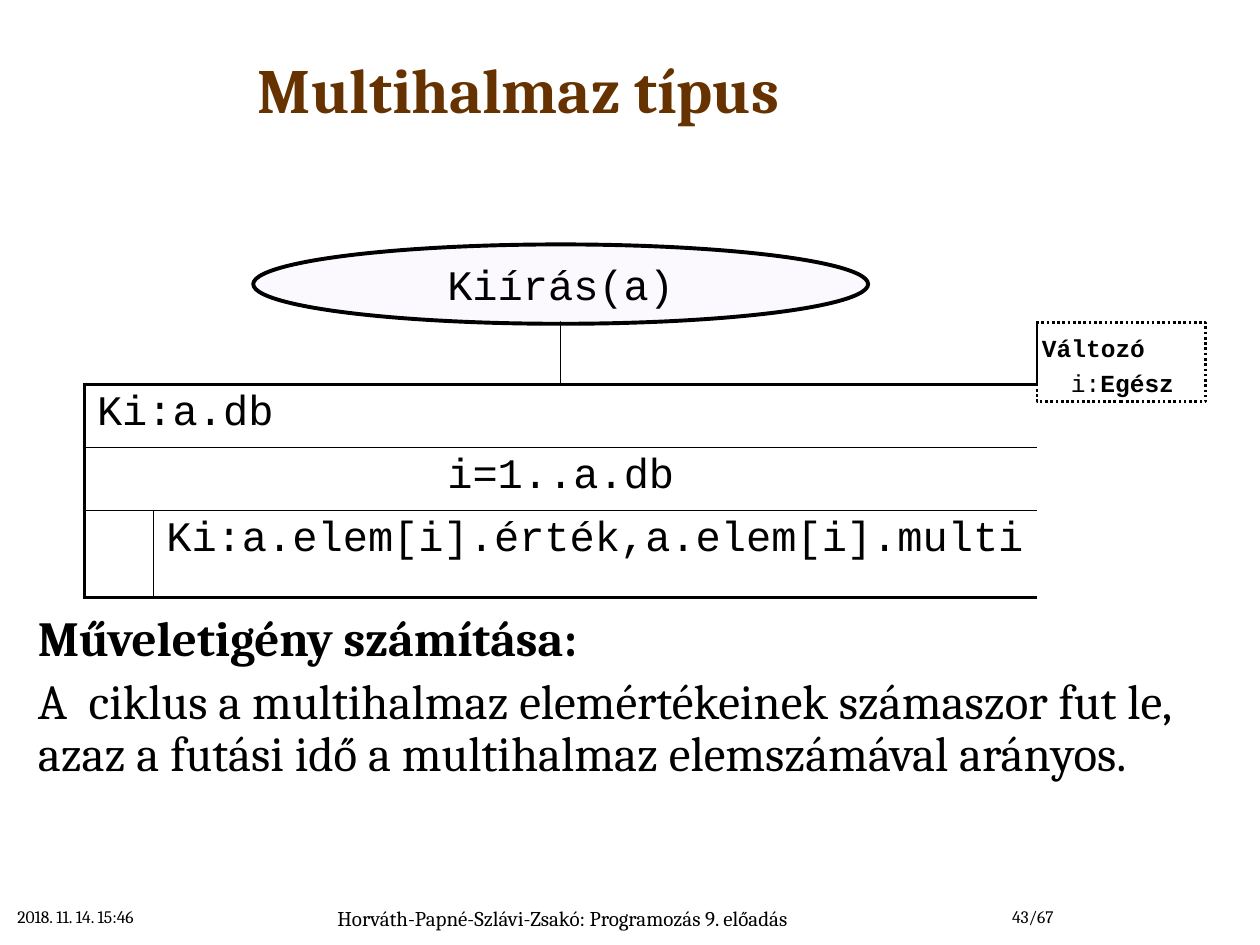
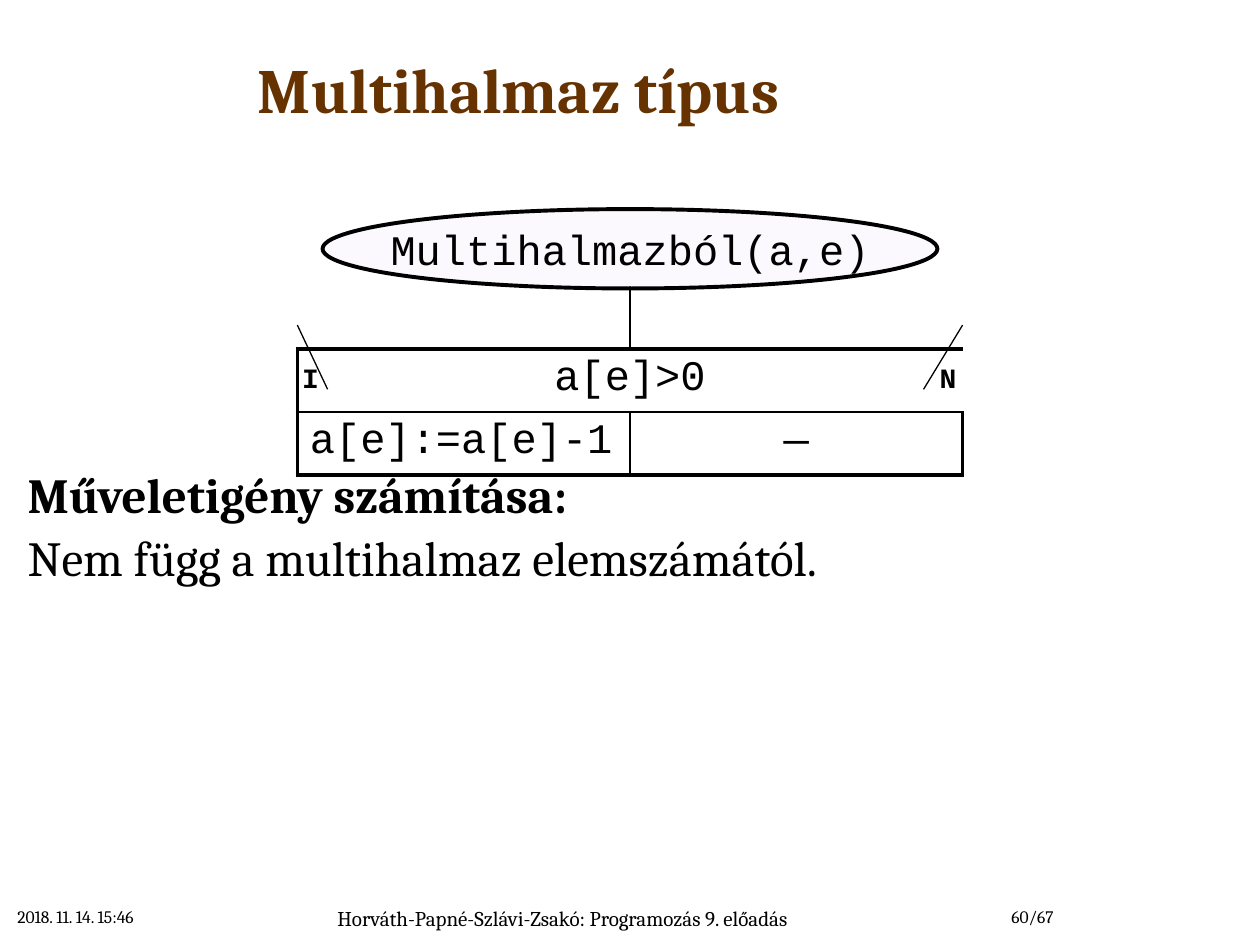
from dataclasses import dataclass
from typing import NamedTuple

from lxml.etree import SubElement
from pptx import Presentation
from pptx.dml.color import RGBColor
from pptx.enum.dml import MSO_LINE
from pptx.enum.shapes import MSO_CONNECTOR, MSO_SHAPE
from pptx.enum.text import MSO_ANCHOR, MSO_AUTO_SIZE, PP_ALIGN
from pptx.oxml.ns import qn
from pptx.util import Emu, Inches, Pt


@dataclass(frozen=True)
class Theme:
    serif: str = "Cambria"
    code: str = "Courier New"
    ink: RGBColor = RGBColor(0, 0, 0)
    title_ink: RGBColor = RGBColor(0x66, 0x33, 0x00)
    bubble: RGBColor = RGBColor(0xF3, 0xE8, 0xFE)
    bubble_opacity: int = 30
    title_size: int = 36
    body_size: int = 28
    code_size: int = 24
    label_size: int = 16
    variable_size: int = 14
    footer_size: int = 12
    date_size: int = 10
    thick: float = 2.25
    thin: float = 1
    hairline: float = 0.75
    no_table_style: str = "{2D5ABB26-0587-4C30-8999-92F81FD0307C}"


class Box(NamedTuple):
    """A rectangle on the slide grid of 100 columns by 75 rows."""
    left: float
    top: float
    width: float
    height: float


class Cell(NamedTuple):
    """Cells first..last of a row; edges: capital is thick, small is thin."""
    row: int
    first: int
    last: int
    edges: str
    text: str = ""
    align: PP_ALIGN = PP_ALIGN.LEFT


class Chart(NamedTuple):
    """A structogram: name bubble, stem above the block, and its cells."""
    name: str
    left: float
    top: float
    columns: list[float]
    rows: list[float]
    stem_column: int
    cells: list[Cell]


THEME = Theme()
GRID_COLUMNS = 100
BUBBLE_WIDTH, BUBBLE_HEIGHT, BUBBLE_OVERLAP = 48.8, 6.3, 0.2
LEFT, CENTER, RIGHT = PP_ALIGN.LEFT, PP_ALIGN.CENTER, PP_ALIGN.RIGHT

presentation = Presentation()
presentation.slide_width = Inches(10)
presentation.slide_height = Inches(7.5)
UNIT = presentation.slide_width / GRID_COLUMNS


def grid(*steps: float) -> list[Emu]:
    return [Emu(round(step * UNIT)) for step in steps]


def place(shape, box: Box) -> None:
    shape.left, shape.top, shape.width, shape.height = grid(*box)


def write(paragraph, text: str, size: float, name: str = THEME.serif,
          bold: bool = False, align: PP_ALIGN = LEFT, color: RGBColor = THEME.ink,
          before: float = 0) -> None:
    paragraph.text = text
    paragraph.alignment = align
    paragraph.space_before = Pt(before)
    font = paragraph.font
    font.name, font.size, font.bold = name, Pt(size), bold
    font.color.rgb = color


def add_text(slide, box: Box, text: str, size: float, **style) -> None:
    shape = slide.shapes.add_textbox(*grid(*box))
    shape.text_frame.word_wrap = True
    write(shape.text_frame.paragraphs[0], text, size, **style)


def add_line(slide, start: tuple[float, float], end: tuple[float, float]) -> None:
    line = slide.shapes.add_connector(MSO_CONNECTOR.STRAIGHT, *grid(*start, *end))
    line.line.color.rgb = THEME.ink
    line.line.width = Pt(THEME.hairline)
    SubElement(line._element.spPr, qn("a:effectLst"))


# Title, body and footer, the same on every slide
def add_page(number: str, body_top: float, body_text: str):
    slide = presentation.slides.add_slide(presentation.slide_layouts[1])
    title, body = slide.shapes.title, slide.placeholders[1]
    place(title, Box(0, 0.9, 82.3, 12.2))
    title.text_frame.vertical_anchor = MSO_ANCHOR.MIDDLE
    write(title.text_frame.paragraphs[0], "Multihalmaz típus", THEME.title_size,
          bold=True, align=CENTER, color=THEME.title_ink)

    frame = body.text_frame
    frame.auto_size = MSO_AUTO_SIZE.NONE
    heading, statement = frame.paragraphs[0], frame.add_paragraph()
    write(heading, "Műveletigény számítása:", THEME.body_size, bold=True)
    write(statement, body_text, THEME.body_size, before=6)
    statement.line_spacing = Pt(30)
    for paragraph in frame.paragraphs:
        properties = paragraph._p.get_or_add_pPr()
        properties.set("marL", "0")
        properties.set("indent", "0")
        bullet = SubElement(properties, qn("a:buNone"))
        defaults = properties.find(qn("a:defRPr"))
        if defaults is not None:
            defaults.addprevious(bullet)

    add_text(slide, Box(0.4, 71.4, 20.8, 3.6), "2018. 11. 14. 15:46", THEME.date_size)
    add_text(slide, Box(21.2, 71.4, 46.9, 3.6),
             "Horváth-Papné-Szlávi-Zsakó: Programozás 9. előadás",
             THEME.footer_size, align=CENTER)
    add_text(slide, Box(71.9, 71.4, 12.7, 3.6), number, THEME.date_size, align=RIGHT)
    return slide, body


def set_edges(cell, edges: str) -> None:
    properties = cell._tc.get_or_add_tcPr()
    sides = [side for side in "LRTB" if side in edges.upper()]
    for position, side in enumerate(sides):
        width = THEME.thick if side in edges else THEME.thin
        line = SubElement(properties, qn(f"a:ln{side}"), w=str(Pt(width)))
        fill = SubElement(line, qn("a:solidFill"))
        SubElement(fill, qn("a:srgbClr"), val=str(THEME.ink))
        properties.insert(position, line)


def add_block(slide, chart: Chart) -> None:
    area = Box(chart.left, chart.top, sum(chart.columns), sum(chart.rows))
    table = slide.shapes.add_table(len(chart.rows), len(chart.columns),
                                   *grid(*area)).table
    table.first_row = table.horz_banding = False
    table._tbl.tblPr.find(qn("a:tableStyleId")).text = THEME.no_table_style
    for column, width in zip(table.columns, grid(*chart.columns)):
        column.width = width
    for row, height in zip(table.rows, grid(*chart.rows)):
        row.height = height
    for item in chart.cells:
        for index in range(item.first, item.last + 1):
            cell = table.cell(item.row, index)
            cell.fill.background()
            hidden = ("Ll" if index > item.first else "") + ("Rr" if index < item.last else "")
            set_edges(cell, "".join(edge for edge in item.edges if edge not in hidden))
        start = table.cell(item.row, item.first)
        if item.last > item.first:
            start.merge(table.cell(item.row, item.last))
        if item.text:
            write(start.text_frame.paragraphs[0], item.text, THEME.code_size,
                  name=THEME.code, align=item.align, before=1.5)


def add_bubble(slide, chart: Chart) -> None:
    middle = chart.left + sum(chart.columns[:chart.stem_column])
    box = Box(middle - BUBBLE_WIDTH / 2, chart.top + BUBBLE_OVERLAP - BUBBLE_HEIGHT,
              BUBBLE_WIDTH, BUBBLE_HEIGHT)
    bubble = slide.shapes.add_shape(MSO_SHAPE.OVAL, *grid(*box))
    bubble.shadow.inherit = False
    bubble.fill.solid()
    bubble.fill.fore_color.rgb = THEME.bubble
    color = bubble._element.spPr.find(qn("a:solidFill")).find(qn("a:srgbClr"))
    SubElement(color, qn("a:alpha"), val=str(THEME.bubble_opacity * 1000))
    bubble.line.color.rgb = THEME.ink
    bubble.line.width = Pt(THEME.thick)
    frame = bubble.text_frame
    frame.word_wrap = False
    frame.vertical_anchor = MSO_ANCHOR.MIDDLE
    write(frame.paragraphs[0], chart.name, THEME.code_size, name=THEME.code,
          align=CENTER, before=6)


def add_chart_block(slide, chart: Chart) -> None:
    add_block(slide, chart)
    add_bubble(slide, chart)


def add_variables(slide, box: Box, name: str, kind: str) -> None:
    shape = slide.shapes.add_shape(MSO_SHAPE.RECTANGLE, *grid(*box))
    shape.shadow.inherit = False
    shape.fill.background()
    shape.line.color.rgb = THEME.ink
    shape.line.width = Pt(1.5)
    shape.line.dash_style = MSO_LINE.ROUND_DOT
    frame = shape.text_frame
    frame.vertical_anchor = MSO_ANCHOR.TOP
    frame.margin_left = frame.margin_top = frame.margin_bottom = Inches(0.04)
    frame.margin_right = 0
    heading, declaration = frame.paragraphs[0], frame.add_paragraph()
    write(heading, "Változó", THEME.variable_size, name=THEME.code, bold=True, before=2.8)
    write(declaration, f"{name}:", THEME.variable_size, name=THEME.code)
    declaration.add_run().text = kind
    declaration.runs[1].font.bold = True
    declaration._p.get_or_add_pPr().set("marL", str(Inches(0.23)))
    for paragraph in frame.paragraphs:
        paragraph.line_spacing = Pt(20)


# Slide 1: writing out the multiset
printing = Chart(
    name="Kiírás(a)", left=6.7, top=25.5, columns=[5.5, 32.3, 37.8],
    rows=[5, 5, 5, 6.9], stem_column=2,
    cells=[Cell(0, 0, 1, "rB"),
           Cell(0, 2, 2, "lB"),
           Cell(1, 0, 2, "LTRb", "Ki:a.db"),
           Cell(2, 0, 2, "LtR", "i=1..a.db", CENTER),
           Cell(3, 0, 0, "LrB"),
           Cell(3, 1, 2, "ltRB", "Ki:a.elem[i].érték,a.elem[i].multi")])
slide, body = add_page(
    "43/67", 47.7,
    "A  ciklus a multihalmaz elemértékeinek számaszor fut le, "
    "azaz a futási idő a multihalmaz elemszámával arányos.")
place(body, Box(2, 47.7, 98, 16.7))
add_chart_block(slide, printing)
add_variables(slide, Box(82.3, 25.6, 13.4, 6.3), "i", "Egész")

# Slide 2: removing an element
removal = Chart(
    name="Multihalmazból(a,e)", left=23.6, top=22.7, columns=[26.4, 26.4],
    rows=[5, 5, 5], stem_column=1,
    cells=[Cell(0, 0, 0, "rB"),
           Cell(0, 1, 1, "lB"),
           Cell(1, 0, 1, "LTRb", "a[e]>0", CENTER),
           Cell(2, 0, 0, "LtrB", "a[e]:=a[e]-1"),
           Cell(2, 1, 1, "ltRB", "―", CENTER)])
slide, body = add_page("60/67", 36.4, "Nem függ a multihalmaz elemszámától.")
place(body, Box(1.2, 36.4, 98, 11.9))
add_chart_block(slide, removal)

# Branch corners with their yes and no labels
right_edge = removal.left + sum(removal.columns)
for corner, foot, label_left, label in ((removal.left, 26, 23, "I"),
                                        (right_edge, 73.3, 73.6, "N")):
    add_line(slide, (corner, 25.8), (foot, 30.9))
    add_text(slide, Box(label_left, 28.1, 3.2, 3.6), label, THEME.label_size,
             name=THEME.code, bold=True, before=2)

presentation.save("out.pptx")
